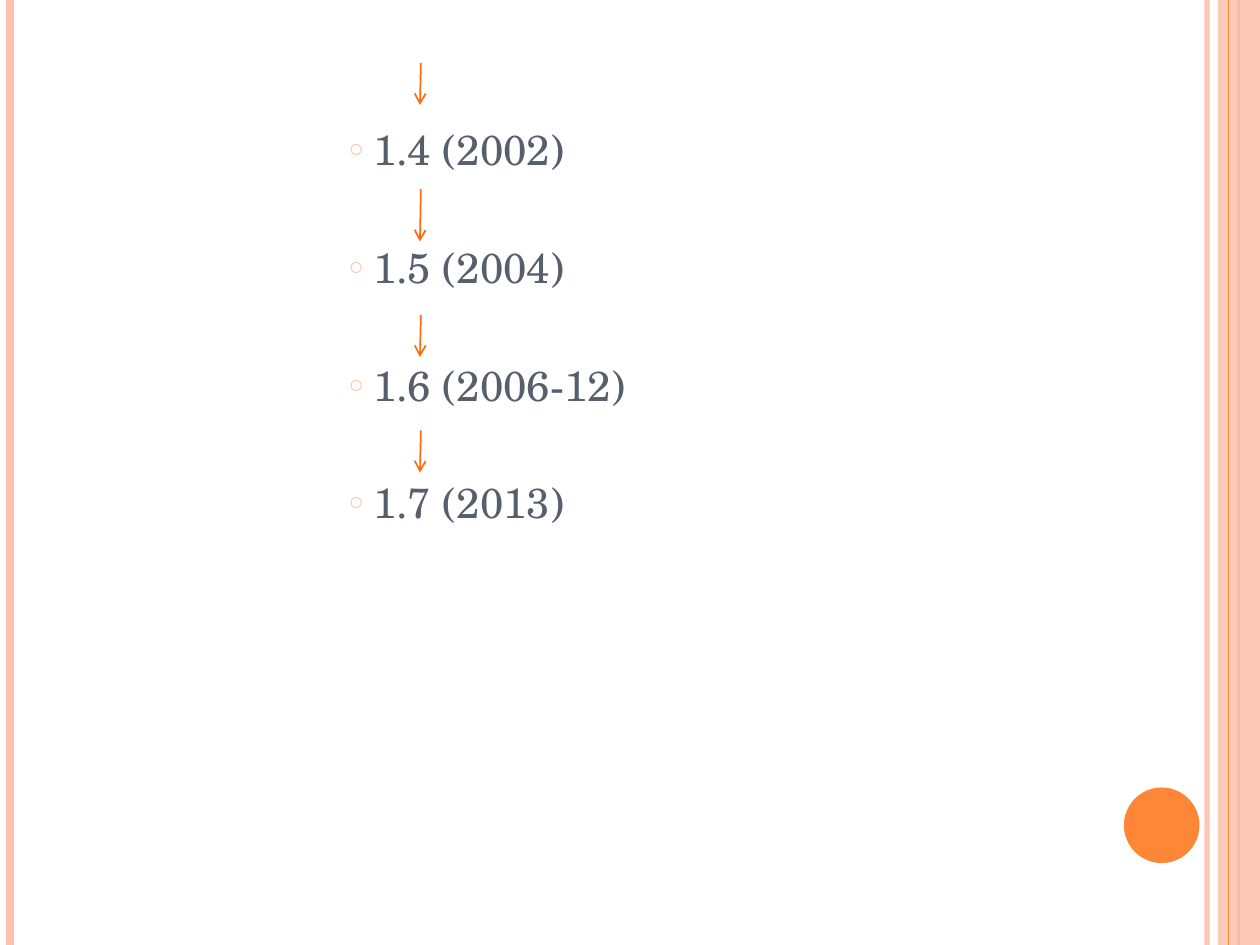
from lxml import etree
from pptx import Presentation
from pptx.dml.color import RGBColor
from pptx.enum import shapes, text
from pptx.oxml import ns
from pptx.util import Pt

COLORS = {"peach": "FEC3AE", "orange": "FE8637", "arrow": "FF6B0A", "text": "575F6D"}
WIDTH, HEIGHT = 720, 540
VERSIONS = ["1.4 (2002)", "1.5 (2004)", "1.6 (2006-12)", "1.7 (2013)"]
ARROWS = [(36, 60), (108, 138), (180, 204), (246, 270)]
FONT = {"name": "TeX Gyre Schola", "size": Pt(24), "bold": False}


def rgb(name):
    return RGBColor.from_string(COLORS[name])


def add_child(parent, tag, **attrs):
    return etree.SubElement(parent, ns.qn(tag), attrs)


def set_alpha(fill, percent):
    color = fill._xPr.find(ns.qn("a:solidFill"))[0]
    add_child(color, "a:alpha", val=str(percent * 1000))


def add_line(s, start, end, color, width, alpha=None, arrow=False):
    c = s.shapes.add_connector(
        shapes.MSO_CONNECTOR.STRAIGHT, *(Pt(v) for v in (*start, *end))
    )
    c.line.width = Pt(width)
    c.line.color.rgb = rgb(color)
    if alpha:
        set_alpha(c.line.fill, alpha)
    if arrow:
        add_child(c.line._get_or_add_ln(), "a:tailEnd", type="arrow")
    add_child(c._element.spPr, "a:effectLst")


def add_rule(s, x, color, width, alpha=None):
    add_line(s, (x, 0), (x, HEIGHT), color, width, alpha)


def add_filled(s, kind, box, color, alpha=None):
    sp = s.shapes.add_shape(kind, *(Pt(v) for v in box))
    sp.shadow.inherit = False
    sp.fill.solid()
    sp.fill.fore_color.rgb = rgb(color)
    sp.line.fill.background()
    if alpha:
        set_alpha(sp.fill, alpha)


def add_bullet(p):
    pPr = p._p.get_or_add_pPr()
    pPr.set("marL", str(Pt(158.4)))
    pPr.set("indent", str(Pt(-14.4)))
    add_child(add_child(pPr, "a:buClr"), "a:srgbClr", val=COLORS["peach"])
    add_child(pPr, "a:buSzPct", val="60000")
    add_child(pPr, "a:buChar", char="○")


def fill_list(sp, items):
    box = {"left": 48, "top": 0, "width": 588, "height": 384}
    for name, value in box.items():
        setattr(sp, name, Pt(value))
    tf = sp.text_frame
    frame = {
        "word_wrap": True,
        "auto_size": text.MSO_AUTO_SIZE.NONE,
        "vertical_anchor": text.MSO_ANCHOR.TOP,
        "margin_top": Pt(70.8),
    }
    for name, value in frame.items():
        setattr(tf, name, value)
    for i, item in enumerate(items):
        p = tf.paragraphs[0] if i == 0 else tf.add_paragraph()
        p.level = 6
        p.alignment = text.PP_ALIGN.JUSTIFY
        p.space_before = Pt(38.4 if i else 0)
        add_bullet(p)
        r = p.add_run()
        r.text = item
        for name, value in FONT.items():
            setattr(r.font, name, value)
        r.font.color.rgb = rgb("text")


def main():
    prs = Presentation()
    prs.slide_width, prs.slide_height = Pt(WIDTH), Pt(HEIGHT)
    s = prs.slides.add_slide(prs.slide_layouts[1])
    title, body = s.placeholders
    title._element.getparent().remove(title._element)

    add_rule(s, 689.76, "peach", 3, 93)
    add_rule(s, 5.76, "peach", 4.5)
    add_rule(s, 707.76, "orange", 1.5)
    add_filled(s, shapes.MSO_SHAPE.RECTANGLE, (696, 0, 24, HEIGHT), "peach", 87)
    add_rule(s, 702, "orange", 0.75)
    add_filled(s, shapes.MSO_SHAPE.OVAL, (642.24, 450, 43.2, 43.2), "orange")

    fill_list(body, VERSIONS)
    for top, bottom in ARROWS:
        add_line(s, (240.5, top), (240, bottom), "arrow", 1, arrow=True)

    prs.save("out.pptx")


if __name__ == "__main__":
    main()
